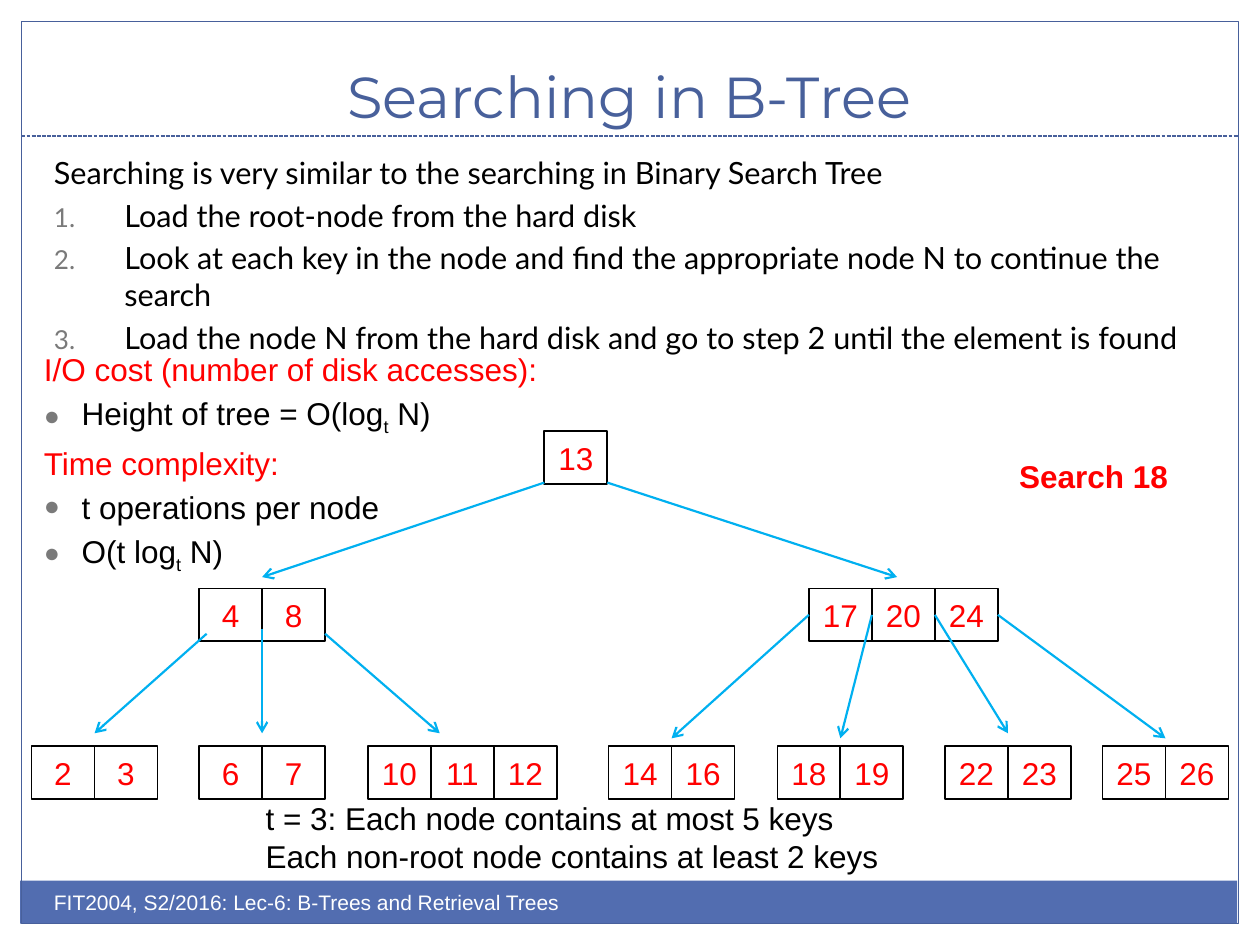
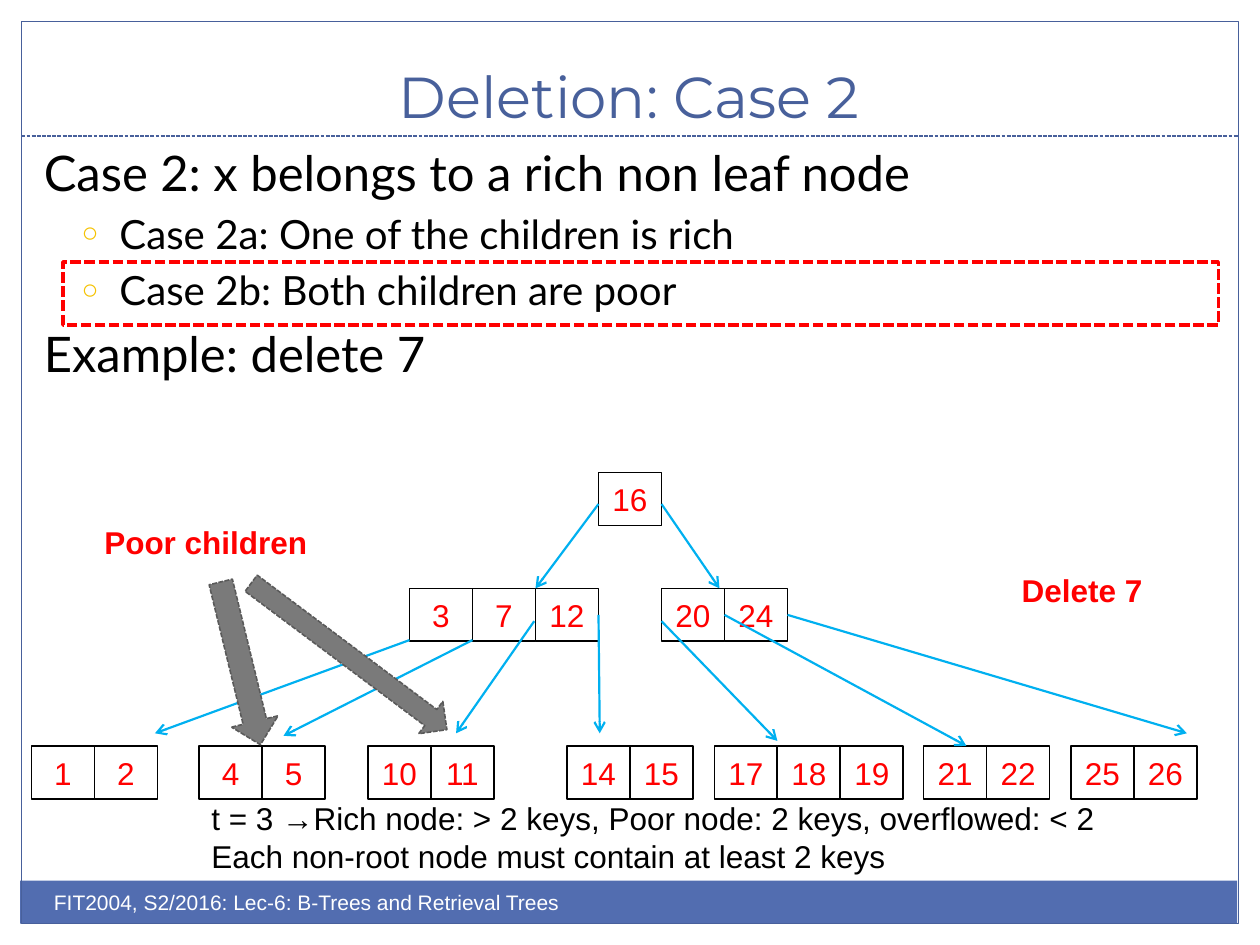
"""Build two lecture slides on B-tree searching and deletion."""
from dataclasses import dataclass
from typing import Optional

import lxml.etree
import pptx
import pptx.dml.color
import pptx.dml.line
import pptx.enum.dml
import pptx.enum.shapes
import pptx.enum.text
import pptx.oxml.ns
import pptx.presentation
import pptx.shapes.autoshape
import pptx.shapes.connector
import pptx.slide
import pptx.text.text
import pptx.util
from pptx.util import Inches

BLUE = pptx.dml.color.RGBColor(0x48, 0x60, 0x9B)
BAND = pptx.dml.color.RGBColor(0x52, 0x6D, 0xB0)
SKY = pptx.dml.color.RGBColor(0x00, 0xB0, 0xF0)
RED = pptx.dml.color.RGBColor(0xFF, 0x00, 0x00)
BLACK = pptx.dml.color.RGBColor(0x00, 0x00, 0x00)
WHITE = pptx.dml.color.RGBColor(0xFF, 0xFF, 0xFF)
GREY = pptx.dml.color.RGBColor(0x7A, 0x7A, 0x7A)
DARK_GREY = pptx.dml.color.RGBColor(0x5A, 0x5A, 0x5A)
GOLD = pptx.dml.color.RGBColor(0xF5, 0xC2, 0x01)

SHAPE = pptx.enum.shapes.MSO_SHAPE
DASH = pptx.enum.dml.MSO_LINE.SQUARE_DOT
CENTER = pptx.enum.text.PP_ALIGN.CENTER
ANCHOR = pptx.enum.text.MSO_ANCHOR
LEFT_SIDE, RIGHT_SIDE = 1, 3

CELL_W, CELL_H = 0.5, 0.42
LEAF_TOP, INNER_TOP = 5.92, 4.67
FOOTER = "FIT2004, S2/2016: Lec-6: B-Trees and Retrieval Trees"

Box = tuple[float, float, float, float]
Cells = dict[int, pptx.shapes.autoshape.Shape]


@dataclass(frozen=True)
class Bullet:
    """A list marker: a character, or numbering when char is empty."""
    char: str
    color: pptx.dml.color.RGBColor
    percent: int
    left: float
    hang: float


@dataclass(frozen=True)
class Para:
    """A paragraph whose every second text is a subscript."""
    texts: tuple[str, ...]
    size: float = 18
    font: str = "Arial"
    color: pptx.dml.color.RGBColor = BLACK
    bold: bool = False
    bullet: Optional[Bullet] = None
    spaced: bool = False


@dataclass(frozen=True)
class Node:
    """A tree node with its keys side by side."""
    left: float
    top: float
    keys: tuple[int, ...]


@dataclass(frozen=True)
class Link:
    """An arrow to a child, joined to a side of a key's cell if one is given."""
    start: tuple[float, float]
    end: tuple[float, float]
    key: Optional[int] = None
    side: int = LEFT_SIDE


@dataclass(frozen=True)
class BlockArrow:
    """A rotated block arrow."""
    box: Box
    rotation: float


NUMBER = Bullet("", GREY, 85, 0.56, 0.56)
DOT = Bullet("●", GREY, 85, 0.3, 0.3)
RING = Bullet("○", GOLD, 70, 0.6, 0.3)


def add_child(parent: lxml.etree._Element, tag: str, **attrs: str) -> lxml.etree._Element:
    """Append a DrawingML element."""
    return lxml.etree.SubElement(parent, pptx.oxml.ns.qn(tag), attrs)


def set_line(line: pptx.dml.line.LineFormat, color: pptx.dml.color.RGBColor,
             width: float, dashed: bool = False) -> None:
    """Colour, size and optionally dash a line."""
    line.color.rgb = color
    line.width = pptx.util.Pt(width)
    if dashed:
        line.dash_style = DASH


def set_bullet(p: pptx.text.text._Paragraph, bullet: Bullet) -> None:
    """Give a paragraph its marker and hanging indent."""
    pPr = p._p.get_or_add_pPr()
    pPr.set("marL", str(Inches(bullet.left)))
    pPr.set("indent", str(-Inches(bullet.hang)))
    add_child(add_child(pPr, "a:buClr"), "a:srgbClr", val=str(bullet.color))
    add_child(pPr, "a:buSzPct", val=str(bullet.percent * 1000))
    if bullet.char:
        add_child(pPr, "a:buFont", typeface="Arial")
        add_child(pPr, "a:buChar", char=bullet.char)
    else:
        add_child(pPr, "a:buAutoNum", type="arabicPeriod")


def write(tf: pptx.text.text.TextFrame, paras: list[Para]) -> None:
    """Fill a text frame run by run."""
    for i, para in enumerate(paras):
        p = tf.add_paragraph() if i else tf.paragraphs[0]
        if para.spaced:
            p.space_before = pptx.util.Pt(round(para.size * 0.2, 1))
        if para.bullet:
            set_bullet(p, para.bullet)
        for j, text in enumerate(para.texts):
            r = p.add_run()
            r.text = text
            r.font.size = pptx.util.Pt(para.size)
            r.font.name = para.font
            r.font.bold = para.bold
            r.font.color.rgb = para.color
            if j % 2:
                r._r.get_or_add_rPr().set("baseline", "-25000")


def add_text(s: pptx.slide.Slide, box: Box, paras: list[Para], wrap: bool = True) -> None:
    """Add a text box."""
    tf = s.shapes.add_textbox(*map(Inches, box)).text_frame
    tf.word_wrap = wrap
    if not wrap:
        tf.auto_size = pptx.enum.text.MSO_AUTO_SIZE.SHAPE_TO_FIT_TEXT
    write(tf, paras)


def add_label(s: pptx.slide.Slide, box: Box, text: str) -> None:
    """Add a bold red label."""
    add_text(s, box, [Para((text,), color=RED, bold=True)], wrap=False)


def add_plain(s: pptx.slide.Slide, kind: SHAPE, box: Box,
              fill: Optional[pptx.dml.color.RGBColor] = None) -> pptx.shapes.autoshape.Shape:
    """Add a shape with no shadow and no line."""
    sp = s.shapes.add_shape(kind, *map(Inches, box))
    sp.shadow.inherit = False
    sp.line.fill.background()
    if fill is None:
        sp.fill.background()
    else:
        sp.fill.solid()
        sp.fill.fore_color.rgb = fill
    return sp


def add_line(s: pptx.slide.Slide, start: tuple[float, float], end: tuple[float, float],
             color: pptx.dml.color.RGBColor, width: float,
             dashed: bool = False) -> pptx.shapes.connector.Connector:
    """Add a straight connector without a shadow."""
    cx = s.shapes.add_connector(pptx.enum.shapes.MSO_CONNECTOR.STRAIGHT,
                                *map(Inches, start + end))
    set_line(cx.line, color, width, dashed)
    add_child(cx._element.spPr, "a:effectLst")
    return cx


def add_node(s: pptx.slide.Slide, node: Node) -> Cells:
    """Draw a node and return its cells by key."""
    cells: Cells = {}
    for i, key in enumerate(node.keys):
        sp = add_plain(s, SHAPE.RECTANGLE, (node.left + i * CELL_W, node.top, CELL_W, CELL_H))
        set_line(sp.line, BLACK, 1)
        tf = sp.text_frame
        tf.margin_left = tf.margin_right = 0
        tf.vertical_anchor = ANCHOR.MIDDLE
        write(tf, [Para((str(key),), color=RED)])
        tf.paragraphs[0].alignment = CENTER
        cells[key] = sp
    return cells


def add_tree(s: pptx.slide.Slide, nodes: list[Node], links: list[Link]) -> None:
    """Draw the nodes and the arrows between them."""
    cells: Cells = {}
    for node in nodes:
        cells.update(add_node(s, node))
    for link in links:
        cx = add_line(s, link.start, link.end, SKY, 1.25)
        add_child(cx.line._get_or_add_ln(), "a:tailEnd", type="arrow")
        if link.key is not None:
            cx.begin_connect(cells[link.key], link.side)


def add_block_arrow(s: pptx.slide.Slide, arrow: BlockArrow) -> None:
    """Draw a grey block arrow."""
    sp = add_plain(s, SHAPE.DOWN_ARROW, arrow.box, GREY)
    set_line(sp.line, DARK_GREY, 0.9, dashed=True)
    sp.rotation = arrow.rotation


def new_slide(prs: pptx.presentation.Presentation, title: str) -> pptx.slide.Slide:
    """Add a slide with the shared title, frame and footer band."""
    s = prs.slides.add_slide(prs.slide_layouts[5])
    sp = s.shapes.title
    sp.left, sp.top, sp.width, sp.height = map(Inches, (0.33, 0.25, 9.33, 0.83))
    tf = sp.text_frame
    tf.auto_size = pptx.enum.text.MSO_AUTO_SIZE.NONE
    tf.vertical_anchor = ANCHOR.BOTTOM
    write(tf, [Para((title,), 33, "Montserrat", BLUE)])
    tf.paragraphs[0].alignment = CENTER
    add_plain(s, SHAPE.RECTANGLE, (0.16, 6.99, 9.66, 0.34), BAND)
    frame = add_plain(s, SHAPE.RECTANGLE, (0.17, 0.17, 9.66, 7.16))
    set_line(frame.line, BLUE, 0.75)
    add_line(s, (0.17, 1.08), (9.83, 1.08), BLUE, 0.75, dashed=True)
    add_text(s, (0.33, 7.01, 5, 0.4), [Para((FOOTER,), 12, color=WHITE)])
    return s


def add_search_slide(prs: pptx.presentation.Presentation) -> None:
    """Build the searching slide."""
    s = new_slide(prs, "Searching in B-Tree")
    steps = ("Load the root-node from the hard disk",
             "Look at each key in the node and find the appropriate node N to continue the search",
             "Load the node N from the hard disk and go to step 2 until the element is found")
    intro = Para(("Searching is very similar to the searching in Binary Search Tree",),
                 17.5, "Lato", spaced=True)
    add_text(s, (0.33, 1.17, 9.67, 1.58),
             [intro] + [Para((t,), 17.5, "Lato", bullet=NUMBER, spaced=True) for t in steps])
    add_text(s, (0.25, 2.73, 4.23, 2.38), [
        Para(("I/O cost (number of disk accesses):",), color=RED, spaced=True),
        Para(("Height of tree = O(log", "t", " N)"), bullet=DOT, spaced=True),
        Para(("Time complexity:",), color=RED, spaced=True),
        Para(("t operations per node",), bullet=DOT, spaced=True),
        Para(("O(t log", "t", " N)"), bullet=DOT, spaced=True)])
    leaves = {0.25: (2, 3), 1.58: (6, 7), 2.92: (10, 11, 12), 4.83: (14, 16),
              6.17: (18, 19), 7.5: (22, 23), 8.75: (25, 26)}
    nodes = [Node(4.32, 3.42, (13,)), Node(1.58, INNER_TOP, (4, 8)),
             Node(6.42, INNER_TOP, (17, 20, 24))]
    add_tree(s, nodes + [Node(x, LEAF_TOP, keys) for x, keys in leaves.items()], [
        Link((4.32, 3.83), (2.08, 4.58)), Link((4.82, 3.83), (7.12, 4.58)),
        Link((1.64, 5.03), (0.75, 5.82)), Link((2.08, 4.99), (2.08, 5.82)),
        Link((2.58, 5.03), (3.49, 5.82)),
        Link((6.42, 4.88), (5.33, 5.86), 17), Link((6.92, 4.88), (6.67, 5.86), 20),
        Link((7.42, 4.88), (8, 5.82), 24), Link((7.92, 4.88), (9.25, 5.86), 24, RIGHT_SIDE)])
    add_label(s, (7.99, 3.58, 1.39, 0.4), "Search 18")
    add_text(s, (2.01, 6.29, 5.11, 0.71), [
        Para(("t = 3: Each node contains at most 5 keys",)),
        Para(("Each non-root node contains at least 2 keys",))], wrap=False)


def add_deletion_slide(prs: pptx.presentation.Presentation) -> None:
    """Build the deletion slide."""
    s = new_slide(prs, "Deletion: Case 2")
    add_text(s, (0.25, 1.08, 9.67, 3.4), [
        Para(("Case 2: x belongs to a rich non leaf node",), 28, "Lato", spaced=True),
        Para(("Case 2a: One of the children is rich",), 23, "Lato", bullet=RING, spaced=True),
        Para(("Case 2b: Both children are poor",), 23, "Lato", bullet=RING, spaced=True),
        Para(("Example: delete 7",), 28, "Lato", spaced=True)])
    leaves = {0.25: (1, 2), 1.58: (4, 5), 2.92: (10, 11), 4.5: (14, 15),
              5.67: (17, 18, 19), 7.33: (21, 22), 8.5: (25, 26)}
    nodes = [Node(4.75, 3.75, (16,)), Node(3.25, INNER_TOP, (3, 7, 12)),
             Node(5.25, INNER_TOP, (20, 24))]
    add_tree(s, nodes + [Node(x, LEAF_TOP, keys) for x, keys in leaves.items()], [
        Link((4.75, 4), (4.25, 4.67)), Link((5.25, 4), (5.71, 4.67)),
        Link((3.25, 5.08), (1.23, 5.82)), Link((3.75, 5.08), (2.25, 5.84)),
        Link((4.24, 4.93), (3.62, 5.82)), Link((4.76, 4.89), (4.76, 5.82), 12, RIGHT_SIDE),
        Link((5.25, 4.93), (6.17, 5.88)), Link((5.75, 4.88), (7.67, 5.92), 24),
        Link((6.25, 4.88), (9.42, 5.82), 24, RIGHT_SIDE)])
    add_label(s, (8.01, 4.48, 1.17, 0.4), "Delete 7")
    add_text(s, (1.58, 6.29, 7.77, 0.71), [
        Para(("t = 3 →Rich node: > 2 keys, Poor node: 2 keys, overflowed: < 2",)),
        Para(("Each non-root node must contain at least 2 keys",))])
    highlight = add_plain(s, SHAPE.RECTANGLE, (0.5, 2.08, 9.17, 0.5))
    set_line(highlight.line, RED, 2, dashed=True)
    add_label(s, (0.73, 4.1, 1.83, 0.4), "Poor children")
    for arrow in (BlockArrow((2.61, 4.24, 0.32, 1.94), 306.8),
                  BlockArrow((1.72, 4.6, 0.38, 1.33), 346.3)):
        add_block_arrow(s, arrow)


def main() -> None:
    """Build and save the presentation."""
    prs = pptx.Presentation()
    prs.slide_width, prs.slide_height = Inches(10), Inches(7.5)
    add_search_slide(prs)
    add_deletion_slide(prs)
    prs.save("out.pptx")


if __name__ == "__main__":
    main()
